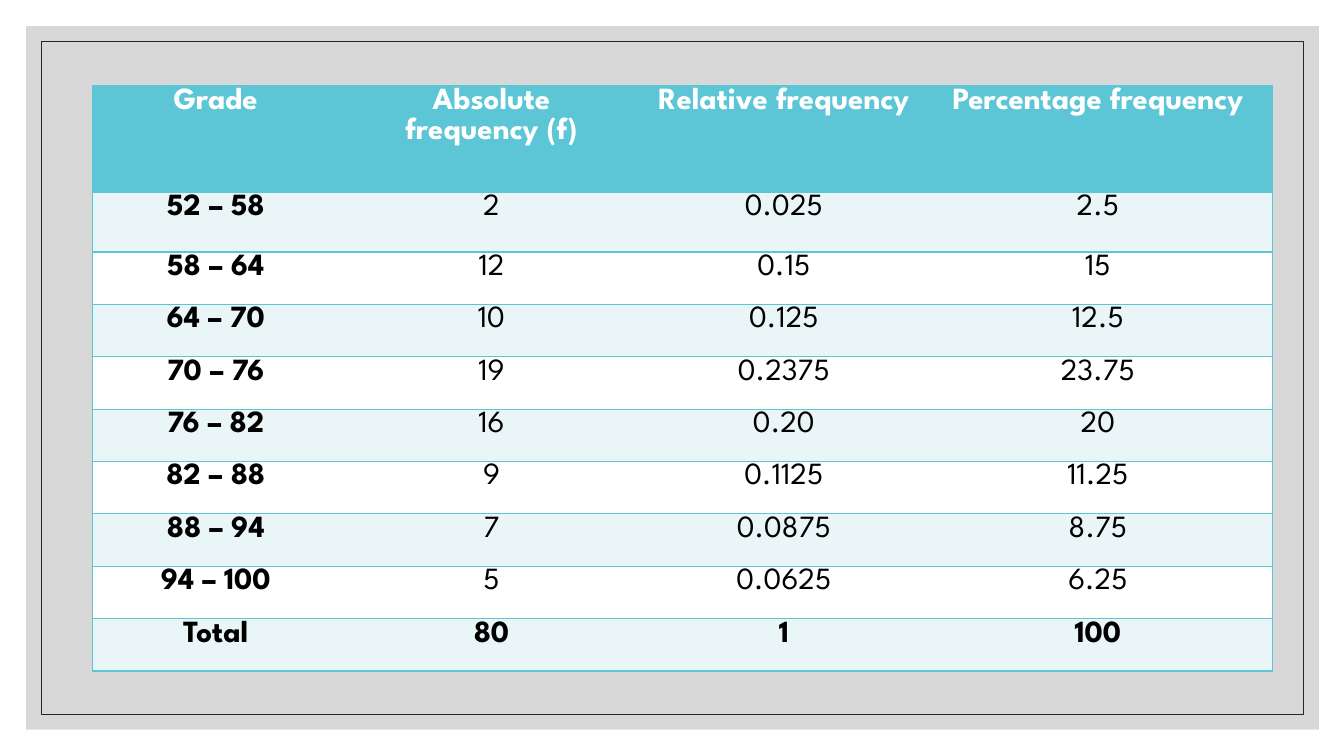
from dataclasses import dataclass

from lxml.etree import SubElement
from pptx import Presentation
from pptx.dml.color import RGBColor
from pptx.enum.shapes import MSO_SHAPE
from pptx.enum.text import PP_ALIGN
from pptx.oxml.ns import qn
from pptx.util import Inches, Pt


@dataclass(frozen=True)
class Theme:
    font: str = "League Spartan"
    text_size: float = 22
    line_spacing: float = 1.07
    accent: str = "5CC6D6"
    band: str = "EAF5F7"
    white: str = "FFFFFF"
    black: str = "000000"
    backdrop: str = "BFBFBF"
    backdrop_opacity: int = 60
    frame: str = "262626"
    frame_width: float = 0.5
    border_width: float = 1


THEME = Theme()

HEADINGS = ["Grade", "Absolute\nfrequency (f)", "Relative frequency", "Percentage frequency"]
FREQUENCIES = [
    ["52 – 58", "2", "0.025", "2.5"],
    ["58 – 64", "12", "0.15", "15"],
    ["64 – 70", "10", "0.125", "12.5"],
    ["70 – 76", "19", "0.2375", "23.75"],
    ["76 – 82", "16", "0.20", "20"],
    ["82 – 88", "9", "0.1125", "11.25"],
    ["88 – 94", "7", "0.0875", "8.75"],
    ["94 – 100", "5", "0.0625", "6.25"],
]
TOTALS = ["Total", "80", "1", "100"]
COLUMN_WIDTHS = [2.44, 3.03, 2.77, 3.46]
ROW_HEIGHTS = [1.06, 0.59] + [0.52] * 8


def write_text(text_frame, text, color=THEME.black, bold=False):
    for index, line in enumerate(text.split("\n")):
        para = text_frame.add_paragraph() if index else text_frame.paragraphs[0]
        para.alignment = PP_ALIGN.CENTER
        para.line_spacing = THEME.line_spacing
        span = para.add_run()
        span.text = line
        span.font.name = THEME.font
        span.font.size = Pt(THEME.text_size)
        span.font.bold = bold
        span.font.color.rgb = RGBColor.from_string(color)


def add_rectangle(page, left, top, width, height, fill=None, opacity=100, line=None):
    box = page.shapes.add_shape(
        MSO_SHAPE.RECTANGLE, Inches(left), Inches(top), Inches(width), Inches(height)
    )
    box.shadow.inherit = False
    if fill:
        box.fill.solid()
        box.fill.fore_color.rgb = RGBColor.from_string(fill)
        color = box.fill._xPr.find(qn("a:solidFill"))[0]
        SubElement(color, qn("a:alpha"), val=str(opacity * 1000))
    else:
        box.fill.background()
    if line:
        box.line.color.rgb = RGBColor.from_string(line)
        box.line.width = Pt(THEME.frame_width)
    else:
        box.line.fill.background()


def set_borders(cell, visible_sides):
    properties = cell._tc.get_or_add_tcPr()
    for side in "LRTB":
        border = SubElement(properties, qn(f"a:ln{side}"), w=str(Pt(THEME.border_width)))
        if side in visible_sides:
            fill = SubElement(border, qn("a:solidFill"))
            SubElement(fill, qn("a:srgbClr"), val=THEME.accent)
        else:
            SubElement(border, qn("a:noFill"))


def format_cell(cell, text, fill, color, bold, visible_sides):
    cell.margin_left = cell.margin_right = Inches(0.07)
    cell.margin_top = cell.margin_bottom = 0
    set_borders(cell, visible_sides)
    cell.fill.solid()
    cell.fill.fore_color.rgb = RGBColor.from_string(fill)
    write_text(cell.text_frame, text, color=color, bold=bold)


def add_frequency_table(page, left, top):
    rows = [HEADINGS, *FREQUENCIES, TOTALS]
    table = page.shapes.add_table(
        len(rows), len(HEADINGS), Inches(left), Inches(top),
        Inches(sum(COLUMN_WIDTHS)), Inches(sum(ROW_HEIGHTS)),
    ).table
    table.horz_banding = False
    for column, width in zip(table.columns, COLUMN_WIDTHS):
        column.width = Inches(width)
    for row, height in zip(table.rows, ROW_HEIGHTS):
        row.height = Inches(height)

    last_column = len(HEADINGS) - 1
    for row_index, values in enumerate(rows):
        is_heading = row_index == 0
        fill = THEME.accent if is_heading else THEME.band if row_index % 2 else THEME.white
        for column_index, text in enumerate(values):
            sides = "TB" + {0: "L", last_column: "R"}.get(column_index, "")
            format_cell(
                table.cell(row_index, column_index),
                text,
                fill=fill,
                color=THEME.white if is_heading else THEME.black,
                bold=column_index == 0 or values in (HEADINGS, TOTALS),
                visible_sides=sides,
            )


def main():
    deck = Presentation()
    deck.slide_width = Inches(13.33)
    deck.slide_height = Inches(7.5)
    page = deck.slides.add_slide(deck.slide_layouts[6])
    add_rectangle(
        page, 0.26, 0.26, 12.82, 6.98, fill=THEME.backdrop, opacity=THEME.backdrop_opacity
    )
    add_rectangle(page, 0.41, 0.41, 12.52, 6.68, line=THEME.frame)
    add_frequency_table(page, 0.92, 0.85)
    deck.save("out.pptx")


if __name__ == "__main__":
    main()
